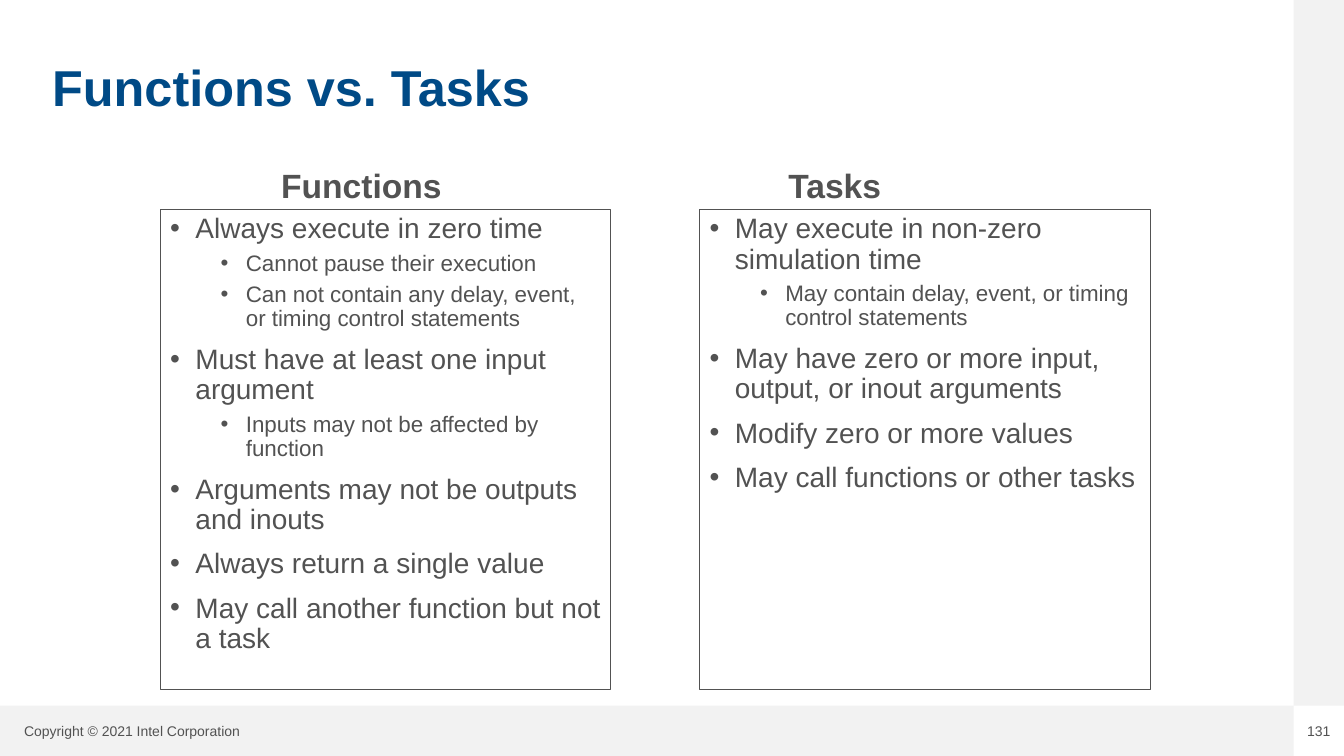
from dataclasses import dataclass

from lxml import etree
from pptx import Presentation
from pptx.dml.color import RGBColor
from pptx.enum.shapes import MSO_SHAPE
from pptx.enum.text import MSO_ANCHOR, PP_ALIGN
from pptx.oxml.ns import qn
from pptx.util import Inches, Pt

RECTANGLE = MSO_SHAPE.RECTANGLE
LEFT, CENTER = PP_ALIGN.LEFT, PP_ALIGN.CENTER
TOP, MIDDLE = MSO_ANCHOR.TOP, MSO_ANCHOR.MIDDLE


@dataclass(frozen=True)
class Theme:
    font: str = "Arial"
    text: RGBColor = RGBColor(0x52, 0x52, 0x52)
    title: RGBColor = RGBColor(0x00, 0x4A, 0x86)
    band: RGBColor = RGBColor(0xF2, 0xF2, 0xF2)
    title_size: int = 36
    heading_size: int = 24
    level_sizes: tuple = (20, 16)
    level_gaps: tuple = (10, 5)
    footer_size: int = 10
    line_spacing: float = 0.9


THEME = Theme()
SLIDE_WIDTH, SLIDE_HEIGHT, BAND = 13.33, 7.5, 0.5
PANEL_TOP, PANEL_WIDTH, PANEL_HEIGHT = 2.08, 4.47, 4.76
HEADING_HEIGHT = 0.49

COLUMNS = [
    (1.59, "Functions", 1.1, 2.02, [
        (0, "Always execute in zero time"),
        (1, "Cannot pause their execution"),
        (1, "Can not contain any delay, event, or timing control statements"),
        (0, "Must have at least one input argument"),
        (1, "Inputs may not be affected by function"),
        (0, "Arguments may not be outputs and inouts"),
        (0, "Always return a single value"),
        (0, "May call another function but not a task"),
    ]),
    (6.94, "Tasks", 0.78, 1.22, [
        (0, "May execute in non-zero simulation time"),
        (1, "May contain delay, event, or timing control statements"),
        (0, "May have zero or more input, output, or inout arguments"),
        (0, "Modify zero or more values"),
        (0, "May call functions or other tasks"),
    ]),
]


def style(para, size, color, bold=False):
    for span in para.runs:
        span.font.name = THEME.font
        span.font.size = Pt(size)
        span.font.bold = bold
        span.font.color.rgb = color


def add_label(page, area, text, size, color=THEME.text, bold=False,
              align=LEFT, anchor=TOP, wrap=False):
    box = page.shapes.add_textbox(*map(Inches, area))
    frame = box.text_frame
    frame.word_wrap = wrap
    frame.vertical_anchor = anchor
    frame.text = text
    para = frame.paragraphs[0]
    para.alignment = align
    style(para, size, color, bold)
    return box


def add_rectangle(page, area):
    box = page.shapes.add_shape(RECTANGLE, *map(Inches, area))
    box.shadow.inherit = False
    return box


def add_band(page, area):
    band = add_rectangle(page, area)
    band.fill.solid()
    band.fill.fore_color.rgb = THEME.band
    band.line.fill.background()


def add_bullet(para, level):
    properties = para._p.get_or_add_pPr()
    properties.set("marL", str(Inches(0.25 + 0.5 * level)))
    properties.set("indent", str(Inches(-0.25)))
    color = etree.SubElement(properties, qn("a:buClr"))
    etree.SubElement(color, qn("a:srgbClr")).set("val", str(THEME.text))
    etree.SubElement(properties, qn("a:buFont")).set("typeface", THEME.font)
    etree.SubElement(properties, qn("a:buChar")).set("char", "•")


def add_frame(page):
    right, bottom = SLIDE_WIDTH - BAND, SLIDE_HEIGHT - BAND
    add_band(page, (0, bottom, right, BAND))
    add_band(page, (right, 0, BAND, bottom))
    add_label(page, (0.14, bottom + 0.12, 2.67, 0.26),
              "Copyright © 2021 Intel Corporation", THEME.footer_size)
    number = add_label(page, (right, bottom + 0.17, BAND, 0.17), "131",
                       THEME.footer_size, align=CENTER)
    frame = number.text_frame
    frame.margin_left = frame.margin_right = 0
    frame.margin_top = frame.margin_bottom = 0


def add_title(page, area, text):
    box = add_label(page, area, text, THEME.title_size, THEME.title, True,
                    anchor=MIDDLE, wrap=True)
    box.text_frame.paragraphs[0].line_spacing = THEME.line_spacing


def add_column(page, area, heading, heading_offset, heading_width, items):
    left, top, width, height = area
    panel = add_rectangle(page, area)
    panel.fill.background()
    panel.line.color.rgb = THEME.text
    panel.line.width = Pt(0)
    frame = panel.text_frame
    frame.word_wrap = True
    frame.vertical_anchor = TOP
    frame.text = "\n".join(text for _, text in items)
    for index, (para, (level, _)) in enumerate(zip(frame.paragraphs, items)):
        para.level = level
        para.alignment = LEFT
        para.line_spacing = THEME.line_spacing
        para.space_before = Pt(THEME.level_gaps[level] if index else 0)
        add_bullet(para, level)
        style(para, THEME.level_sizes[level], THEME.text)
    add_label(page, (left + heading_offset, top - HEADING_HEIGHT,
                     heading_width, HEADING_HEIGHT),
              heading, THEME.heading_size, bold=True)


def main():
    deck = Presentation()
    deck.slide_width = Inches(SLIDE_WIDTH)
    deck.slide_height = Inches(SLIDE_HEIGHT)
    page = deck.slides.add_slide(deck.slide_layouts[6])
    add_frame(page)
    add_title(page, (0.42, 0.24, 12, 1.31), "Functions vs. Tasks")
    for left, *content in COLUMNS:
        add_column(page, (left, PANEL_TOP, PANEL_WIDTH, PANEL_HEIGHT), *content)
    deck.save("out.pptx")


if __name__ == "__main__":
    main()
